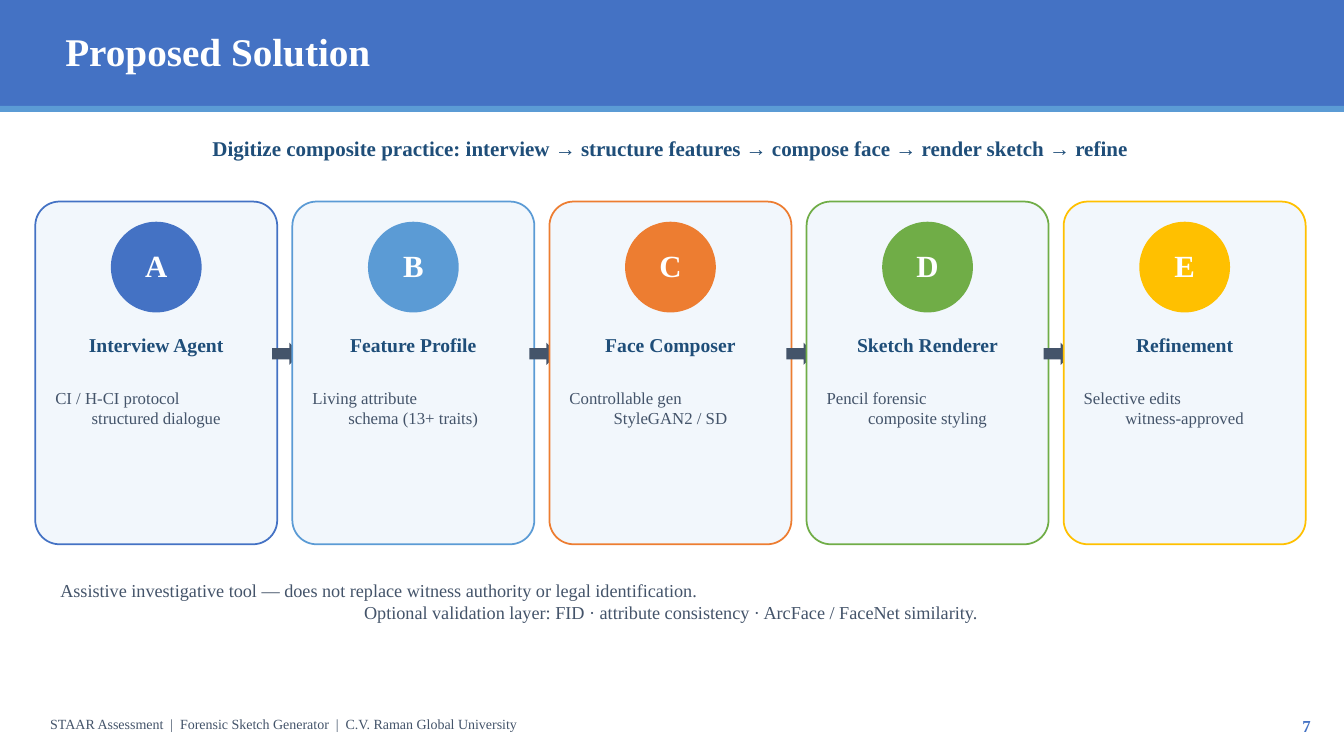
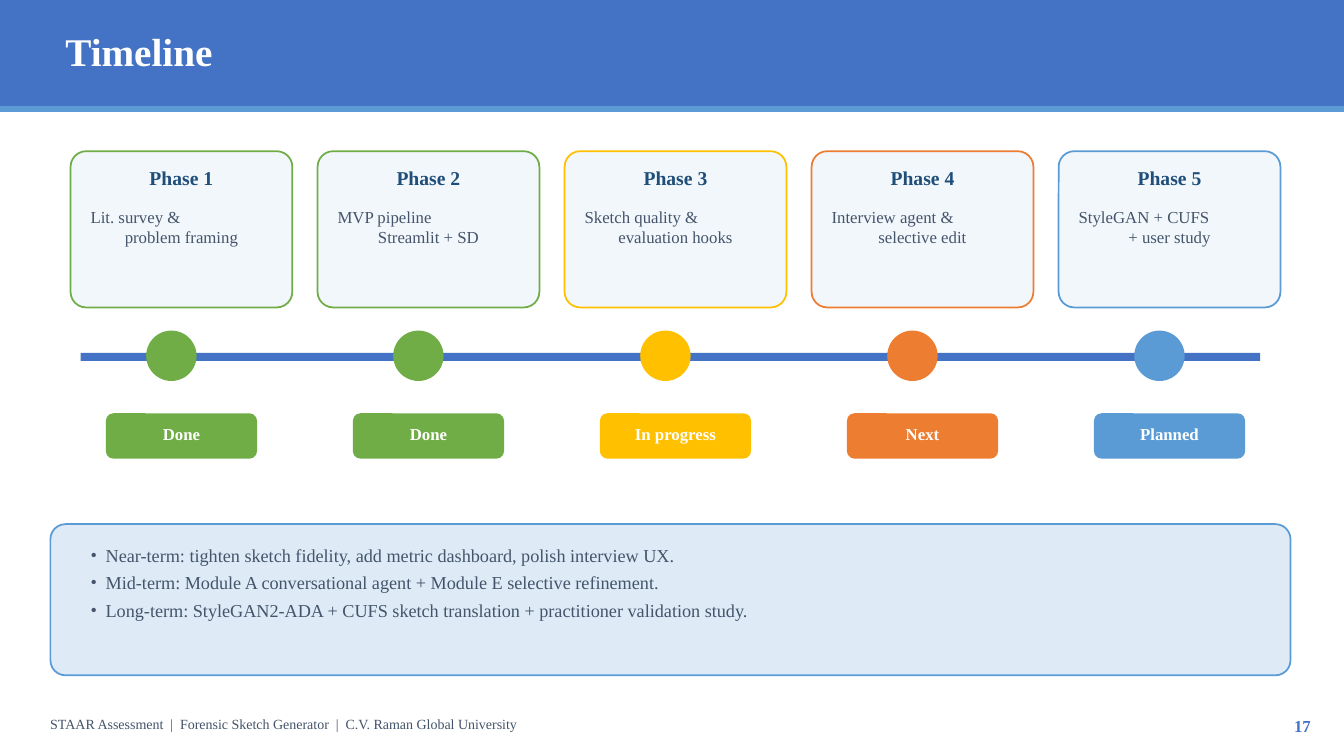
"""Build the solution and timeline slides of the sketch generator deck."""
from dataclasses import dataclass
from typing import NamedTuple

from lxml.etree import SubElement
from pptx import Presentation
from pptx.dml.color import RGBColor
from pptx.enum.shapes import MSO_SHAPE
from pptx.enum.text import MSO_AUTO_SIZE, PP_ALIGN
from pptx.oxml.ns import qn
from pptx.slide import Slide
from pptx.text.text import TextFrame, _Paragraph
from pptx.util import Inches, Pt

FONT = "Times New Roman"
COLORS = {
    "blue": "4472C4", "sky": "5B9BD5", "navy": "1F4E79", "slate": "44546A",
    "orange": "ED7D31", "green": "70AD47", "gold": "FFC000",
    "pale": "F2F7FC", "mist": "DEEBF7", "white": "FFFFFF",
}
FOOTER = ("STAAR Assessment", "Forensic Sketch Generator", "C.V. Raman Global University")
PITCH = 2.55
STRIDE = 2.45


class Box(NamedTuple):
    left: float
    top: float
    width: float
    height: float


class Style(NamedTuple):
    size: float
    color: str
    bold: bool = False
    align: PP_ALIGN = PP_ALIGN.LEFT


@dataclass
class Module:
    letter: str
    name: str
    lines: tuple[str, str]
    color: str


@dataclass
class Phase:
    lines: tuple[str, str]
    status: str
    color: str


TITLE = Style(28, "white", True)
LEAD = Style(15, "navy", True, PP_ALIGN.CENTER)
HEAD = Style(14, "navy", True, PP_ALIGN.CENTER)
BADGE = Style(22, "white", True, PP_ALIGN.CENTER)
STATUS = Style(12, "white", True, PP_ALIGN.CENTER)
BODY = Style(12, "slate")
NOTE = Style(13, "slate")
FOOT = Style(10, "slate")
PAGE = Style(12, "blue", True, PP_ALIGN.RIGHT)

MODULES = (
    Module("A", "Interview Agent", ("CI / H-CI protocol", "structured dialogue"), "blue"),
    Module("B", "Feature Profile", ("Living attribute", "schema (13+ traits)"), "sky"),
    Module("C", "Face Composer", ("Controllable gen", "StyleGAN2 / SD"), "orange"),
    Module("D", "Sketch Renderer", ("Pencil forensic", "composite styling"), "green"),
    Module("E", "Refinement", ("Selective edits", "witness-approved"), "gold"),
)
PHASES = (
    Phase(("Lit. survey &", "problem framing"), "Done", "green"),
    Phase(("MVP pipeline", "Streamlit + SD"), "Done", "green"),
    Phase(("Sketch quality &", "evaluation hooks"), "In progress", "gold"),
    Phase(("Interview agent &", "selective edit"), "Next", "orange"),
    Phase(("StyleGAN + CUFS", "+ user study"), "Planned", "sky"),
)
GOALS = (
    "Near-term: tighten sketch fidelity, add metric dashboard, polish interview UX.",
    "Mid-term: Module A conversational agent + Module E selective refinement.",
    "Long-term: StyleGAN2-ADA + CUFS sketch translation + practitioner validation study.",
)


def paint(name: str) -> RGBColor:
    return RGBColor.from_string(COLORS[name])


def add_form(slide: Slide, kind: MSO_SHAPE, box: Box, fill: str, edge: str = "") -> None:
    form = slide.shapes.add_shape(kind, *map(Inches, box))
    form.shadow.inherit = False
    form.fill.solid()
    form.fill.fore_color.rgb = paint(fill)
    if edge:
        form.adjustments[0] = 0.1
        form.line.color.rgb = paint(edge)
        form.line.width = Pt(1.25)
    else:
        form.line.fill.background()


def add_frame(slide: Slide, box: Box) -> TextFrame:
    frame = slide.shapes.add_textbox(*map(Inches, box)).text_frame
    frame.word_wrap = True
    frame.auto_size = MSO_AUTO_SIZE.SHAPE_TO_FIT_TEXT
    return frame


def add_run(para: _Paragraph, text: str, style: Style, gap: int = 0) -> None:
    run = para.add_run()
    run.text = text
    run.font.name = FONT
    run.font.size = Pt(style.size)
    run.font.bold = style.bold
    run.font.color.rgb = paint(style.color)
    if gap:
        run.font._element.set("spc", str(gap))


def add_line(slide: Slide, box: Box, text: str, style: Style) -> None:
    para = add_frame(slide, box).paragraphs[0]
    para.alignment = style.align
    add_run(para, text, style)


def add_pair(slide: Slide, box: Box, lines: tuple[str, str], style: Style) -> None:
    frame = add_frame(slide, box)
    paras = (frame.paragraphs[0], frame.add_paragraph())
    for para, text, align in zip(paras, lines, (PP_ALIGN.LEFT, PP_ALIGN.CENTER)):
        para.alignment = align
        add_run(para, text, style)


def add_list(slide: Slide, box: Box, items: tuple[str, ...], style: Style) -> None:
    frame = add_frame(slide, box)
    for index, item in enumerate(items):
        para = frame.add_paragraph() if index else frame.paragraphs[0]
        para.space_after = Pt(4)
        props = para._p.get_or_add_pPr()
        props.set("marL", str(Inches(0.15)))
        props.set("indent", str(-Inches(0.15)))
        SubElement(props, qn("a:buFont"), typeface=FONT)
        SubElement(props, qn("a:buChar"), char="•")
        add_run(para, item, style)


def add_footer(slide: Slide, page: int) -> None:
    para = add_frame(slide, Box(0.4, 7.05, 10, 0.35)).paragraphs[0]
    add_run(para, FOOTER[0], FOOT)
    for part in FOOTER[1:]:
        add_run(para, " |", FOOT, 250)
        add_run(para, f" {part}", FOOT)
    add_line(slide, Box(12.2, 7.05, 0.9, 0.35), str(page), PAGE)


def add_base(deck: Presentation, title: str, page: int) -> Slide:
    slide = deck.slides.add_slide(deck.slide_layouts[6])
    add_form(slide, MSO_SHAPE.RECTANGLE, Box(0, 0, 13.33, 1.05), "blue")
    add_form(slide, MSO_SHAPE.RECTANGLE, Box(0, 1.05, 13.33, 0.06), "sky")
    add_line(slide, Box(0.55, 0.22, 11.5, 0.7), title, TITLE)
    add_footer(slide, page)
    return slide


def add_module(slide: Slide, left: float, item: Module) -> None:
    add_form(slide, MSO_SHAPE.ROUNDED_RECTANGLE, Box(left, 2, 2.4, 3.4), "pale", item.color)
    add_form(slide, MSO_SHAPE.OVAL, Box(left + 0.75, 2.2, 0.9, 0.9), item.color)
    add_line(slide, Box(left + 0.75, 2.4, 0.9, 0.5), item.letter, BADGE)
    add_line(slide, Box(left + 0.1, 3.25, 2.2, 0.45), item.name, HEAD)
    add_pair(slide, Box(left + 0.1, 3.8, 2.2, 1.2), item.lines, BODY)


def add_phase(slide: Slide, left: float, name: str, item: Phase) -> None:
    add_form(slide, MSO_SHAPE.OVAL, Box(left + 0.75, 3.28, 0.5, 0.5), item.color)
    add_form(slide, MSO_SHAPE.ROUNDED_RECTANGLE, Box(left, 1.5, 2.2, 1.55), "pale", item.color)
    add_line(slide, Box(left + 0.1, 1.6, 2, 0.35), name, HEAD)
    add_pair(slide, Box(left + 0.1, 2, 2, 0.85), item.lines, BODY)
    add_form(slide, MSO_SHAPE.ROUNDED_RECTANGLE, Box(left + 0.35, 4.1, 1.5, 0.45), item.color)
    add_line(slide, Box(left + 0.35, 4.15, 1.5, 0.35), item.status, STATUS)


def build_plan(deck: Presentation) -> None:
    slide = add_base(deck, "Proposed Solution", 7)
    lead = "Digitize composite practice: interview → structure features → compose face → render sketch → refine"
    add_line(slide, Box(0.5, 1.3, 12.3, 0.45), lead, LEAD)
    for index, item in enumerate(MODULES):
        left = 0.35 + index * PITCH
        if index:
            add_form(slide, MSO_SHAPE.RIGHT_ARROW, Box(left - 0.2, 3.4, 0.28, 0.22), "slate")
        add_module(slide, left, item)
    notes = (
        "Assistive investigative tool — does not replace witness authority or legal identification.",
        "Optional validation layer: FID · attribute consistency · ArcFace / FaceNet similarity.",
    )
    add_pair(slide, Box(0.5, 5.7, 12.3, 1), notes, NOTE)


def build_timeline(deck: Presentation) -> None:
    slide = add_base(deck, "Timeline", 17)
    add_form(slide, MSO_SHAPE.RECTANGLE, Box(0.8, 3.5, 11.7, 0.08), "blue")
    for index, item in enumerate(PHASES):
        add_phase(slide, 0.7 + index * STRIDE, f"Phase {index + 1}", item)
    add_form(slide, MSO_SHAPE.ROUNDED_RECTANGLE, Box(0.5, 5.2, 12.3, 1.5), "mist", "sky")
    add_list(slide, Box(0.8, 5.35, 11.8, 1.3), GOALS, NOTE)


def main() -> None:
    deck = Presentation()
    deck.slide_width = Inches(13.33)
    deck.slide_height = Inches(7.5)
    build_plan(deck)
    build_timeline(deck)
    deck.save("out.pptx")


if __name__ == "__main__":
    main()
